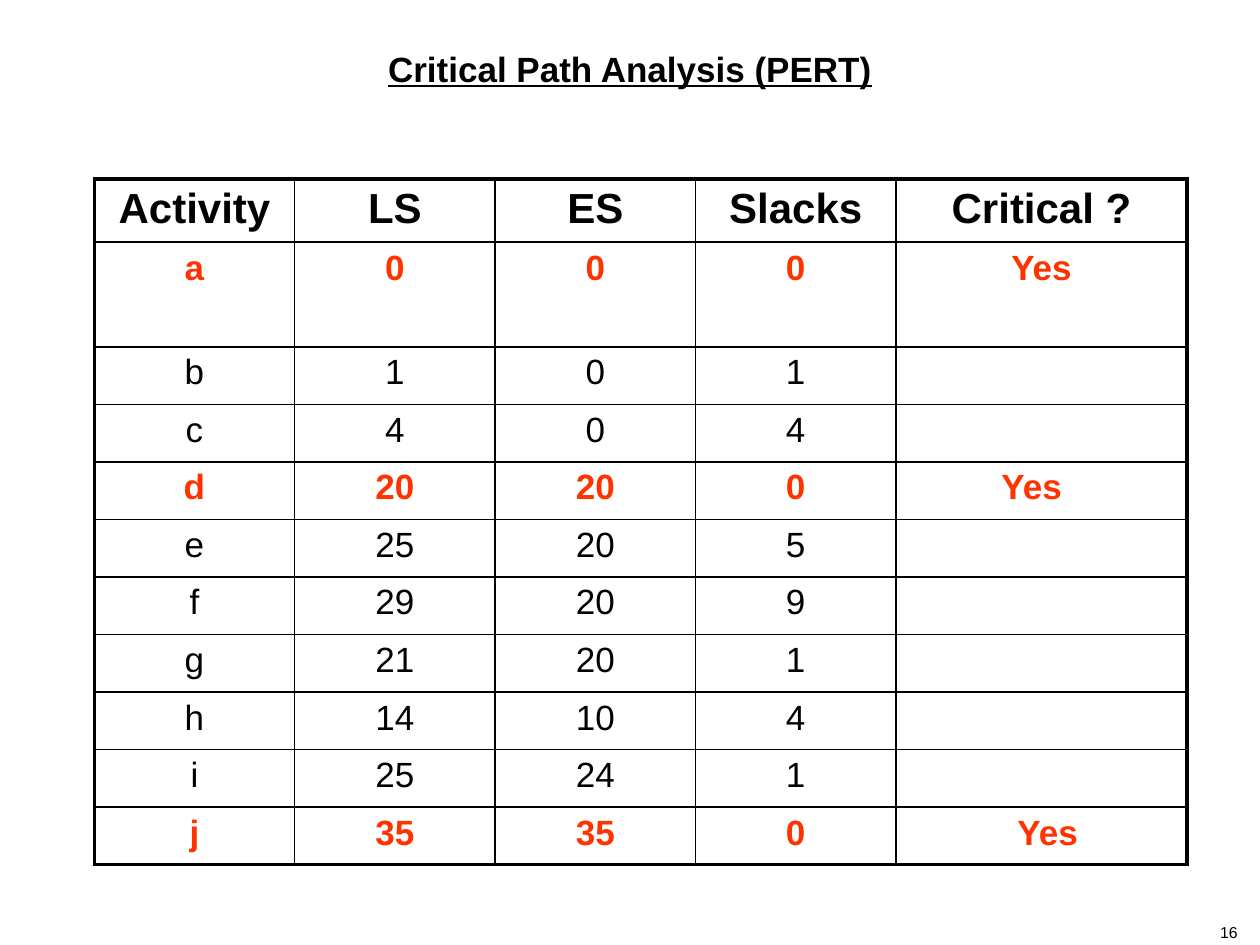
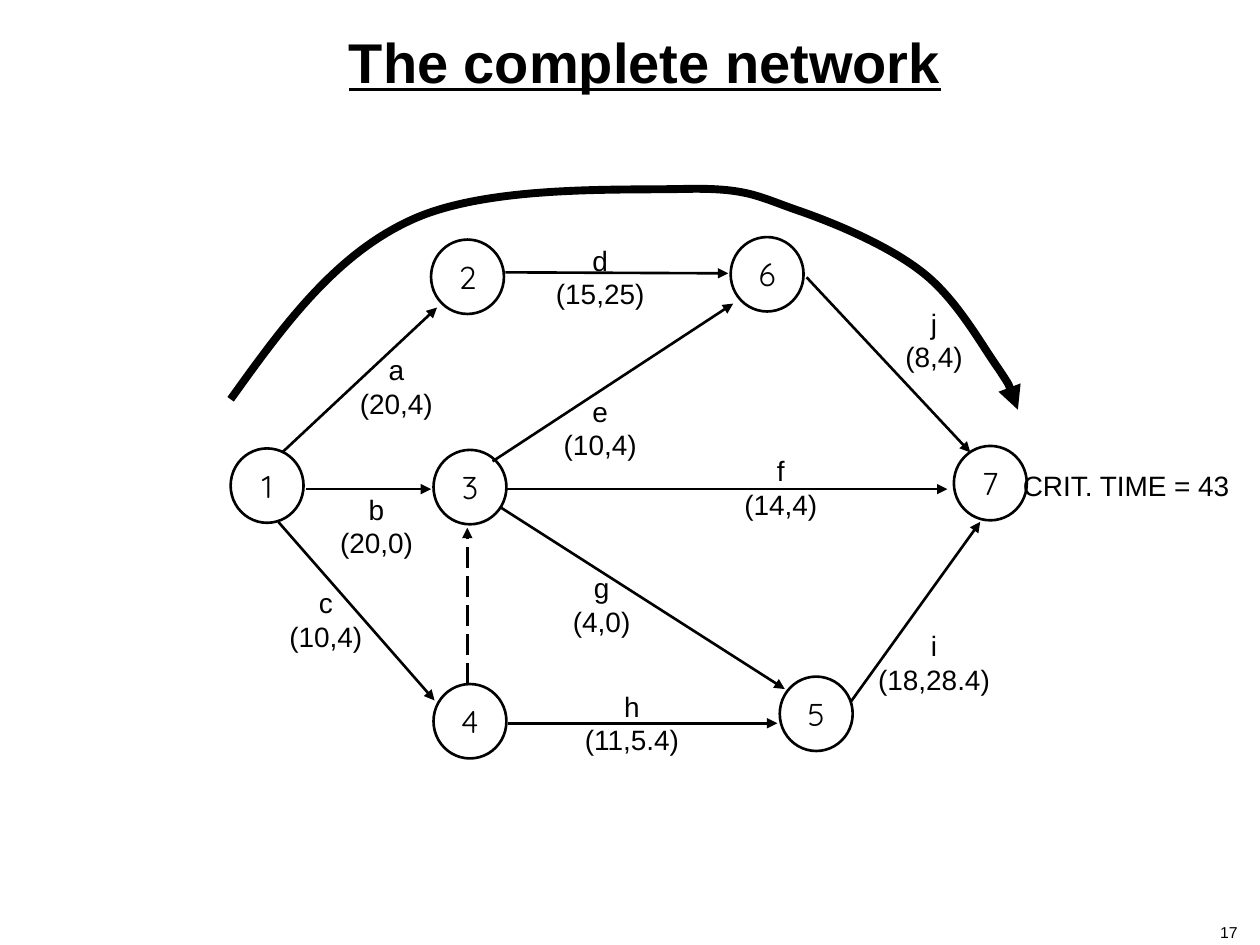
from dataclasses import dataclass

from lxml import etree
from pptx import Presentation
from pptx.dml.color import RGBColor
from pptx.enum.dml import MSO_LINE
from pptx.enum.shapes import MSO_CONNECTOR, MSO_SHAPE
from pptx.enum.text import MSO_ANCHOR as Anchor, PP_ALIGN as Align
from pptx.oxml.ns import qn
from pptx.util import Cm, Pt

COLORS = {"ink": "000000", "critical": "FF3300"}
TEXT_FONT, NODE_FONT = "Arial", "Quicksand"
TITLE_ONLY = 5

HEADERS = ["Activity", "LS", "ES", "Slacks", "Critical ?"]
COLUMN_WIDTHS = [4.04] * 4 + [5.87]
HEADER_HEIGHT, FIRST_ROW_HEIGHT, ROW_HEIGHT = 1.27, 2.11, 1.16
THIN, THICK = 1, 2.25
# activity, latest start, earliest start
STARTS = [
    ("a", 0, 0), ("b", 1, 0), ("c", 4, 0), ("d", 20, 20), ("e", 25, 20),
    ("f", 29, 20), ("g", 21, 20), ("h", 14, 10), ("i", 25, 24), ("j", 35, 35),
]

NODE_WIDTH, NODE_HEIGHT = 1.47, 1.5
NODES = {
    "2": (8.69, 4.83), "6": (14.73, 4.78), "1": (4.65, 9.04), "3": (8.74, 9.07),
    "7": (19.23, 8.99), "4": (8.74, 13.79), "5": (15.72, 13.64),
}
LABEL_WIDTH, LABEL_HEIGHT = 2.97, 1.9


@dataclass
class Activity:
    name: str
    times: str
    start: tuple
    end: tuple
    label: tuple  # centre and top of the label


ACTIVITIES = [
    Activity("a", "(20,4)", (5.69, 9.12), (8.81, 6.2), (7.99, 6.99)),
    Activity("b", "(20,0)", (6.17, 9.86), (8.69, 9.86), (7.59, 9.8)),
    Activity("c", "(10,4)", (5.61, 10.52), (8.76, 14.12), (6.57, 11.68)),
    Activity("d", "(15,25)", (10.19, 5.49), (14.68, 5.51), (12.1, 4.78)),
    Activity("e", "(10,4)", (9.93, 9.3), (14.78, 6.12), (12.1, 7.82)),
    Activity("f", "(14,4)", (10.21, 9.86), (19.1, 9.86), (15.74, 9.02)),
    Activity("g", "(4,0)", (10.11, 10.24), (15.82, 13.89), (12.13, 11.38)),
    Activity("h", "(11,5.4)", (10.24, 14.58), (15.67, 14.58), (12.74, 13.77)),
    Activity("i", "(18,28.4)", (17.15, 14.15), (19.76, 10.52), (18.83, 12.55)),
    Activity("j", "(8,4)", (16.26, 5.59), (19.56, 9.12), (18.83, 6.05)),
]
DUMMY_START, DUMMY_END = (9.42, 13.79), (9.42, 10.64)

# start point, then two control points and an end point for each curve
CRITICAL_PATH = [
    (4.65, 8.05),
    (5.69, 6.6), (6.73, 5.16), (8.26, 4.45),
    (9.78, 3.73), (12.45, 3.84), (13.77, 3.81),
    (15.06, 3.78), (15.27, 3.96), (16.08, 4.24),
    (16.89, 4.52), (17.96, 4.98), (18.62, 5.51),
    (19.3, 6.05), (19.79, 6.96), (20.12, 7.42),
    (20.42, 7.87), (20.47, 8.1), (20.52, 8.26),
]


def rgb(color):
    return RGBColor.from_string(COLORS[color])


def write(frame, text, size=16, color="ink", font=TEXT_FONT, bold=False,
          underline=False, align=Align.CENTER, anchor=Anchor.TOP):
    """Fill a text frame, one paragraph for each line of text."""
    frame.text = text
    frame.word_wrap = True
    frame.vertical_anchor = anchor
    for paragraph in frame.paragraphs:
        paragraph.alignment = align
        for run in paragraph.runs:
            run.font.name = font
            run.font.size = Pt(size)
            run.font.bold = bold
            run.font.underline = underline
            run.font.color.rgb = rgb(color)


def add_text(slide, text, left, top, width, height, **text_format):
    box = slide.shapes.add_textbox(Cm(left), Cm(top), Cm(width), Cm(height))
    write(box.text_frame, text, **text_format)


def add_titled_slide(presentation, title, number, left, width, height, size):
    slide = presentation.slides.add_slide(presentation.slide_layouts[TITLE_ONLY])
    shape = slide.shapes.title
    shape.left, shape.top = Cm(left), Cm(0.43)
    shape.width, shape.height = Cm(width), Cm(height)
    write(shape.text_frame, title, size=size, bold=True, underline=True,
          anchor=Anchor.MIDDLE)
    add_text(slide, str(number), 24.13, 18.47, 1.07, 0.43, size=9, align=Align.RIGHT)
    return slide


def set_line(shape, width, arrow=False):
    shape.line.color.rgb = rgb("ink")
    shape.line.width = Pt(width)
    if arrow:
        line = shape.line._get_or_add_ln()
        etree.SubElement(line, qn("a:tailEnd"), type="triangle")


def set_borders(cell, **widths):
    """Draw cell borders; the keywords are L, R, T and B, in that order."""
    properties = cell._tc.get_or_add_tcPr()
    for position, (side, width) in enumerate(widths.items()):
        line = etree.Element(qn(f"a:ln{side}"), w=str(Pt(width)))
        fill = etree.SubElement(line, qn("a:solidFill"))
        etree.SubElement(fill, qn("a:srgbClr"), val=COLORS["ink"])
        properties.insert(position, line)


def add_slack_table(slide):
    rows = [HEADERS]
    for name, latest, earliest in STARTS:
        slack = latest - earliest
        rows.append([name, latest, earliest, slack, "" if slack else "Yes"])
    heights = [HEADER_HEIGHT, FIRST_ROW_HEIGHT] + [ROW_HEIGHT] * (len(rows) - 2)

    table = slide.shapes.add_table(
        len(rows), len(HEADERS), Cm(1.9), Cm(3.61),
        Cm(sum(COLUMN_WIDTHS)), Cm(sum(heights))).table
    table.first_row = table.horz_banding = False
    for column, width in zip(table.columns, COLUMN_WIDTHS):
        column.width = Cm(width)

    last_row, last_column = len(rows) - 1, len(HEADERS) - 1
    for r, values in enumerate(rows):
        table.rows[r].height = Cm(heights[r])
        header, critical = r == 0, values[-1] == "Yes"
        for c, value in enumerate(values):
            cell = table.cell(r, c)
            cell.fill.background()
            write(cell.text_frame, str(value), size=24 if header else 20,
                  bold=header or critical, color="critical" if critical else "ink")
            set_borders(cell,
                        L=THICK if c == 0 else THIN,
                        R=THICK if c == last_column else THIN,
                        T=THICK if r == 0 else THIN,
                        B=THICK if r == last_row else THIN)
    # The "Yes" of d sits left of the centre, that of j right of it.
    table.cell(4, last_column).margin_right = Cm(0.65)
    table.cell(last_row, last_column).margin_left = Cm(0.5)


def add_node(slide, number, left, top):
    node = slide.shapes.add_shape(MSO_SHAPE.OVAL, Cm(left), Cm(top),
                                  Cm(NODE_WIDTH), Cm(NODE_HEIGHT))
    node.shadow.inherit = False
    node.fill.background()
    set_line(node, 1.5)
    frame = node.text_frame
    frame.margin_left = frame.margin_right = 0
    frame.margin_top = frame.margin_bottom = 0
    write(frame, number, size=18, font=NODE_FONT, anchor=Anchor.MIDDLE)


def add_arrow(slide, start, end, dash=None):
    arrow = slide.shapes.add_connector(
        MSO_CONNECTOR.STRAIGHT, *map(Cm, start), *map(Cm, end))
    if dash:
        arrow.line.dash_style = dash
    set_line(arrow, 1.5, arrow=True)
    etree.SubElement(arrow._element.spPr, qn("a:effectLst"))


def add_curved_arrow(slide, points, width):
    (start_x, start_y), *others = [(Cm(x), Cm(y)) for x, y in points]
    builder = slide.shapes.build_freeform(start_x, start_y)
    builder.add_line_segments(others, close=False)
    curve = builder.convert_to_shape()
    curve.shadow.inherit = False
    curve.fill.background()
    set_line(curve, width, arrow=True)
    # Every three straight segments become one cubic curve.
    segments = list(curve._element.iter(qn("a:lnTo")))
    for first in range(0, len(segments), 3):
        bezier = etree.SubElement(segments[first].getparent(), qn("a:cubicBezTo"))
        for segment in segments[first:first + 3]:
            bezier.append(segment[0])
            segment.getparent().remove(segment)


def add_network(slide):
    for number, position in NODES.items():
        add_node(slide, number, *position)
    for activity in ACTIVITIES:
        add_arrow(slide, activity.start, activity.end)
    add_arrow(slide, DUMMY_START, DUMMY_END, dash=MSO_LINE.LONG_DASH)
    for activity in ACTIVITIES:
        center, top = activity.label
        add_text(slide, f"{activity.name}\n{activity.times}",
                 center - LABEL_WIDTH / 2, top, LABEL_WIDTH, LABEL_HEIGHT)


def main():
    presentation = Presentation()
    presentation.slide_width, presentation.slide_height = Cm(25.4), Cm(19.05)

    slide = add_titled_slide(presentation, "Critical Path Analysis (PERT)", 16,
                             left=1.9, width=21.6, height=1.9, size=20)
    add_slack_table(slide)

    slide = add_titled_slide(presentation, "The complete network", 17,
                             left=2.74, width=20.52, height=1.6, size=32)
    add_network(slide)
    add_text(slide, "CRIT. TIME = 43", 20.37, 9.32, 5.03, 1.07, align=Align.LEFT)
    add_curved_arrow(slide, CRITICAL_PATH, 4.5)

    presentation.save("out.pptx")


if __name__ == "__main__":
    main()
